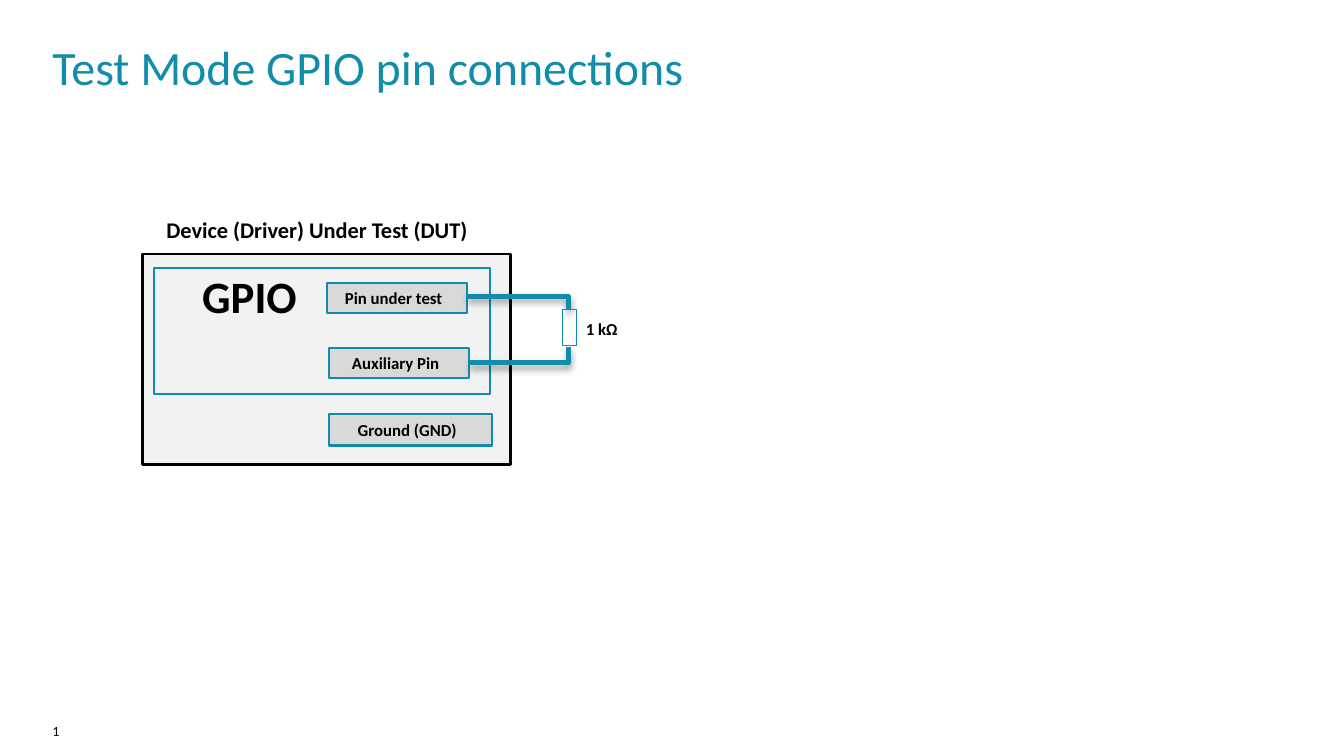
from lxml import etree
from pptx import Presentation
from pptx.dml.color import RGBColor
from pptx.enum.shapes import MSO_CONNECTOR, MSO_SHAPE
from pptx.enum.text import MSO_ANCHOR, MSO_AUTO_SIZE, PP_ALIGN
from pptx.oxml.ns import qn
from pptx.util import Pt

PX = 9144  # 100 px to the inch
RECT, ROUND = MSO_SHAPE.RECTANGLE, MSO_SHAPE.ROUNDED_RECTANGLE
ELBOW = MSO_CONNECTOR.ELBOW
TOP, MID = MSO_ANCHOR.TOP, MSO_ANCHOR.MIDDLE
LEFT, CENTER = PP_ALIGN.LEFT, PP_ALIGN.CENTER
GROW = MSO_AUTO_SIZE.SHAPE_TO_FIT_TEXT
COLORS = {"teal": "128CAB", "black": "000000", "panel": "F2F2F2", "pin": "D9D9D9"}
RGB = {name: RGBColor.from_string(code) for name, code in COLORS.items()}

prs = Presentation()
prs.slide_width, prs.slide_height = 1333 * PX, 750 * PX
slide = prs.slides.add_slide(prs.slide_layouts[6])
shapes = slide.shapes


def write(shape, text, size, color="black", bold=True, align=CENTER,
          pads=(10, 5, 10, 5), **frame):
    """Put one line of styled text in a shape; pads run left, top, right, bottom."""
    body = shape.text_frame
    sides = ("margin_left", "margin_top", "margin_right", "margin_bottom")
    values = dict(zip(sides, (pad * PX for pad in pads)))
    values |= {"word_wrap": True, "vertical_anchor": TOP} | frame
    for name, value in values.items():
        setattr(body, name, value)
    para = body.paragraphs[0]
    para.alignment = align
    run = para.add_run()
    run.text = text
    style = {"name": "Calibri", "size": Pt(size), "bold": bold}
    for name, value in style.items():
        setattr(run.font, name, value)
    run.font.color.rgb = RGB[color]


def block(kind, box, fill=None, line=None, width=1.5):
    shape = shapes.add_shape(kind, *(n * PX for n in box))
    shape.shadow.inherit = False
    if fill:
        shape.fill.solid()
        shape.fill.fore_color.rgb = RGB[fill]
    else:
        shape.fill.background()
    if line:
        shape.line.color.rgb = RGB[line]
        shape.line.width = Pt(width)
    else:
        shape.line.fill.background()
    return shape


# Page number, title and resistor value
labels = [
    ((52, 717, 143, 26), "1", 10, {"bold": False, "pads": (0, 0, 10, 0)}),
    ((52, 37, 1220, 63), "Test Mode GPIO pin connections", 34.2,
     {"bold": False, "color": "teal", "pads": (0, 0, 0, 0)}),
    ((581, 316, 52, 19), "1 kΩ", 12, {"pads": (0, 0, 0, 0), "word_wrap": False}),
]
for box, text, size, style in labels:
    label = shapes.add_textbox(*(n * PX for n in box))
    write(label, text, size, align=LEFT, **style)

# Device and its GPIO block
device = block(ROUND, (113, 204, 403, 47))
write(device, "Device (Driver) Under Test (DUT)", 16, vertical_anchor=MID)
block(RECT, (141, 252, 365, 209), "panel", "black", 2)
gpio = block(ROUND, (153, 268, 189, 51))
write(gpio, "GPIO", 32, vertical_anchor=MID)
block(RECT, (153, 266, 333, 125), line="teal")

# Pins
pins = [
    ("Ground (GND)", (326, 411, 162, 31)),
    ("Auxiliary Pin", (326, 345, 139, 30)),
    ("Pin under test", (324, 281, 139, 30)),
]
for text, box in pins:
    pin = block(RECT, box, "pin", "teal")
    write(pin, text, 12, pads=(10, 5, 16, 5), auto_size=GROW)

# Wires run out of a pin, then turn once towards the resistor
for ends in ((464, 294, 564, 307), (466, 360, 564, 344)):
    wire = shapes.add_connector(ELBOW, *(n * PX for n in ends))
    wire.line.color.rgb = RGB["teal"]
    wire.line.width = Pt(3.35)
    props = wire._element.spPr
    props.find(qn("a:prstGeom")).set("prst", "bentConnector2")
    effects = etree.SubElement(props, qn("a:effectLst"))
    shadow = etree.SubElement(effects, qn("a:outerShdw"), blurRad=str(Pt(5.2)),
                              dist=str(Pt(3)), dir="5400000", rotWithShape="0")
    tint = etree.SubElement(shadow, qn("a:srgbClr"), val=COLORS["black"])
    etree.SubElement(tint, qn("a:alpha"), val="40000")

# Resistor
block(RECT, (558, 307, 14, 36), line="teal", width=0.75)

prs.save("out.pptx")
